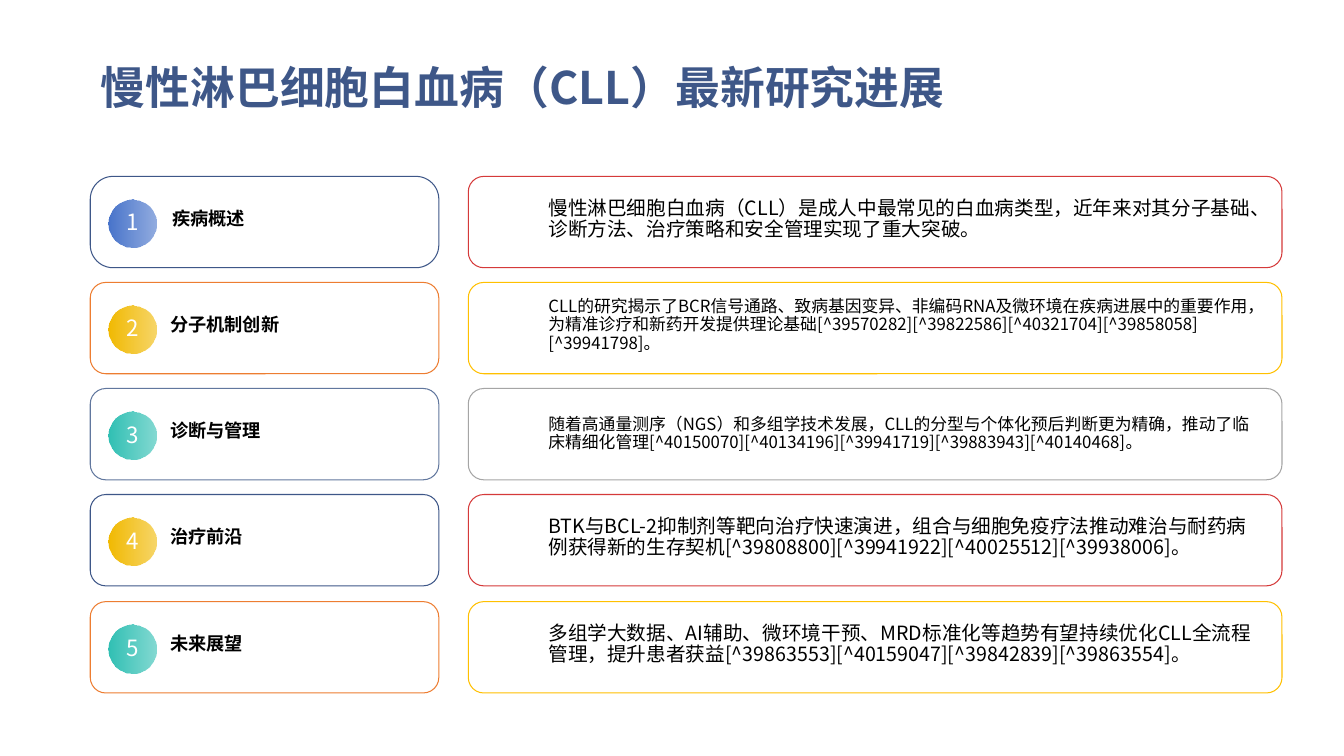
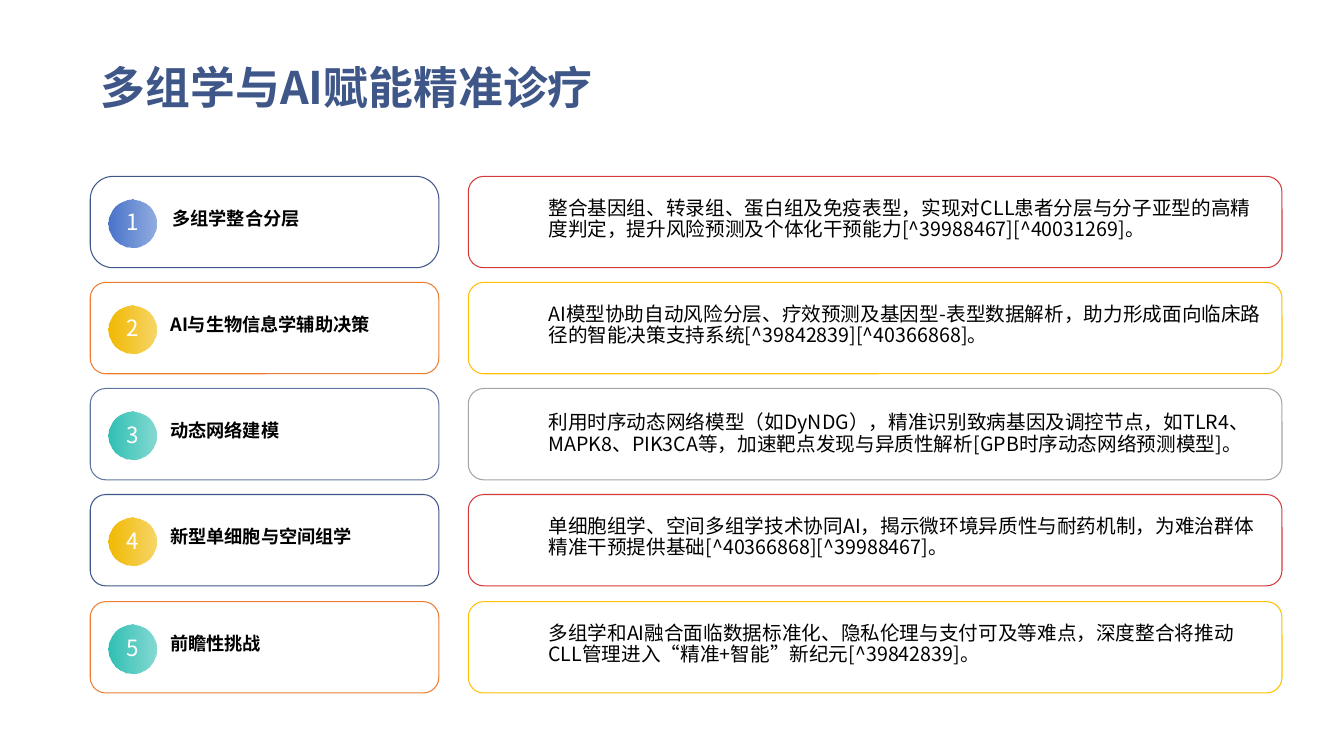
import dataclasses

import lxml.etree
import pptx
import pptx.dml.color
import pptx.enum.shapes
import pptx.enum.text
import pptx.oxml.ns
import pptx.util

PX = 9525
SHAPE = pptx.enum.shapes.MSO_SHAPE
ANCHOR = pptx.enum.text.MSO_ANCHOR
ALIGN = pptx.enum.text.PP_ALIGN
qn = pptx.oxml.ns.qn


@dataclasses.dataclass(frozen=True)
class Theme:
    """Fonts, type sizes and colours shared by the slides."""
    font: str = "Noto Sans CJK SC"
    title_size: int = 32
    badge_size: int = 16
    body_size: int = 14
    label_size: int = 13
    small_size: int = 12
    navy: str = "3E5788"
    text: str = "000000"
    white: str = "FFFFFF"
    label_lines: tuple = ("3E5788", "ED7D31", "61779E", "3E5788", "ED7D31")
    body_lines: tuple = ("D53A3A", "FFC000", "A5A5A5", "D53A3A", "FFC000")
    badges: tuple = ("4874CB", "F2BA02", "30C0B4", "F2BA02", "30C0B4")


T = Theme()

SLIDES = [
    ("慢性淋巴细胞白血病（CLL）最新研究进展", [
        ("疾病概述", "慢性淋巴细胞白血病（CLL）是成人中最常见的白血病类型，近年来对其分子基础、诊断方法、治疗策略和安全管理实现了重大突破。", T.body_size),
        ("分子机制创新", "CLL的研究揭示了BCR信号通路、致病基因变异、非编码RNA及微环境在疾病进展中的重要作用，为精准诊疗和新药开发提供理论基础[^39570282][^39822586][^40321704][^39858058][^39941798]。", T.small_size),
        ("诊断与管理", "随着高通量测序（NGS）和多组学技术发展，CLL的分型与个体化预后判断更为精确，推动了临床精细化管理[^40150070][^40134196][^39941719][^39883943][^40140468]。", T.small_size),
        ("治疗前沿", "BTK与BCL-2抑制剂等靶向治疗快速演进，组合与细胞免疫疗法推动难治与耐药病例获得新的生存契机[^39808800][^39941922][^40025512][^39938006]。", T.body_size),
        ("未来展望", "多组学大数据、AI辅助、微环境干预、MRD标准化等趋势有望持续优化CLL全流程管理，提升患者获益[^39863553][^40159047][^39842839][^39863554]。", T.body_size),
    ]),
    ("多组学与AI赋能精准诊疗", [
        ("多组学整合分层", "整合基因组、转录组、蛋白组及免疫表型，实现对CLL患者分层与分子亚型的高精度判定，提升风险预测及个体化干预能力[^39988467][^40031269]。", T.body_size),
        ("AI与生物信息学辅助决策", "AI模型协助自动风险分层、疗效预测及基因型-表型数据解析，助力形成面向临床路径的智能决策支持系统[^39842839][^40366868]。", T.body_size),
        ("动态网络建模", "利用时序动态网络模型（如DyNDG），精准识别致病基因及调控节点，如TLR4、MAPK8、PIK3CA等，加速靶点发现与异质性解析[GPB时序动态网络预测模型]。", T.body_size),
        ("新型单细胞与空间组学", "单细胞组学、空间多组学技术协同AI，揭示微环境异质性与耐药机制，为难治群体精准干预提供基础[^40366868][^39988467]。", T.body_size),
        ("前瞻性挑战", "多组学和AI融合面临数据标准化、隐私伦理与支付可及等难点，深度整合将推动CLL管理进入“精准+智能”新纪元[^39842839]。", T.body_size),
    ]),
]


def rgb(color):
    """Turn a hex string into a colour."""
    return pptx.dml.color.RGBColor.from_string(color)


def emu(*lengths):
    """Turn px lengths into EMU."""
    return [n * PX for n in lengths]


def write(sp, text, size, color, bold=False, anchor=ANCHOR.MIDDLE,
          align=ALIGN.LEFT, insets=(0, 0, 0, 0)):
    """Put one styled paragraph into a shape."""
    tf = sp.text_frame
    tf.word_wrap = True
    tf.vertical_anchor = anchor
    tf.margin_left, tf.margin_top, tf.margin_right, tf.margin_bottom = emu(*insets)
    p = tf.paragraphs[0]
    p.text = text
    p.alignment = align
    p.line_spacing = 0.9
    p.font.size = pptx.util.Pt(size)
    p.font.bold = bold
    p.font.color.rgb = rgb(color)
    p.font.name = T.font
    latin = p._p.pPr.find(qn("a:defRPr")).find(qn("a:latin"))
    ea = lxml.etree.Element(qn("a:ea"), typeface=T.font)
    latin.addnext(ea)


def add_title(s, text, x, y, w, h):
    """Add the slide title."""
    sp = s.shapes.add_textbox(*emu(x, y, w, h))
    write(sp, text, T.title_size, T.navy, bold=True, anchor=ANCHOR.BOTTOM,
          insets=(10, 5, 10, 5))


def add_card(s, text, x, y, w, h, line, size, bold=False, radius=0.17, top=0):
    """Add an outlined rounded card with indented text."""
    sp = s.shapes.add_shape(SHAPE.ROUNDED_RECTANGLE, *emu(x, y, w, h))
    sp.shadow.inherit = False
    sp.adjustments[0] = radius
    sp.fill.background()
    sp.line.color.rgb = rgb(line)
    sp.line.width = pptx.util.Pt(0.75)
    write(sp, text, size, T.text, bold, insets=(72, top, 12, 5))


def add_badge(s, number, x, y, d, color):
    """Add a numbered disc that fades to the right."""
    sp = s.shapes.add_shape(SHAPE.OVAL, *emu(x, y, d, d))
    sp.shadow.inherit = False
    sp.line.fill.background()
    sp.fill.gradient()
    sp.fill.gradient_angle = 0
    for stop in sp.fill.gradient_stops:
        stop.color.rgb = rgb(color)
    faded = sp._element.spPr.findall(".//" + qn("a:srgbClr"))[-1]
    lxml.etree.SubElement(faded, qn("a:alpha"), val="59000")
    write(sp, str(number), T.badge_size, T.white, align=ALIGN.CENTER)


def add_row(s, i, row, x, y, w, h):
    """Add one numbered row: label card, body card and badge."""
    label, body, size = row
    label_w, gap = 332, 28
    body_x = label_w + gap
    add_card(s, label, x, y, label_w, h, T.label_lines[i], T.label_size,
             bold=True, radius=0.17 if i else 0.25)
    add_card(s, body, x + body_x, y, w - body_x, h, T.body_lines[i], size,
             top=5 if i == 2 else 0)
    add_badge(s, i + 1, x + 17, y + 22, 46, T.badges[i])


def add_rows(s, rows, x, y, w, h):
    """Spread the rows evenly over a box."""
    row_h = 87
    for i, row in enumerate(rows):
        row_y = y + (h - row_h) * i // (len(rows) - 1)
        add_row(s, i, row, x, row_y, w, row_h)


def main():
    """Build and save the slides."""
    prs = pptx.Presentation()
    prs.slide_width, prs.slide_height = emu(1280, 720)
    for title, rows in SLIDES:
        s = prs.slides.add_slide(prs.slide_layouts[6])
        add_title(s, title, 86, 38, 1134, 76)
        add_rows(s, rows, 86, 168, 1135, 492)
    prs.save("out.pptx")


if __name__ == "__main__":
    main()
